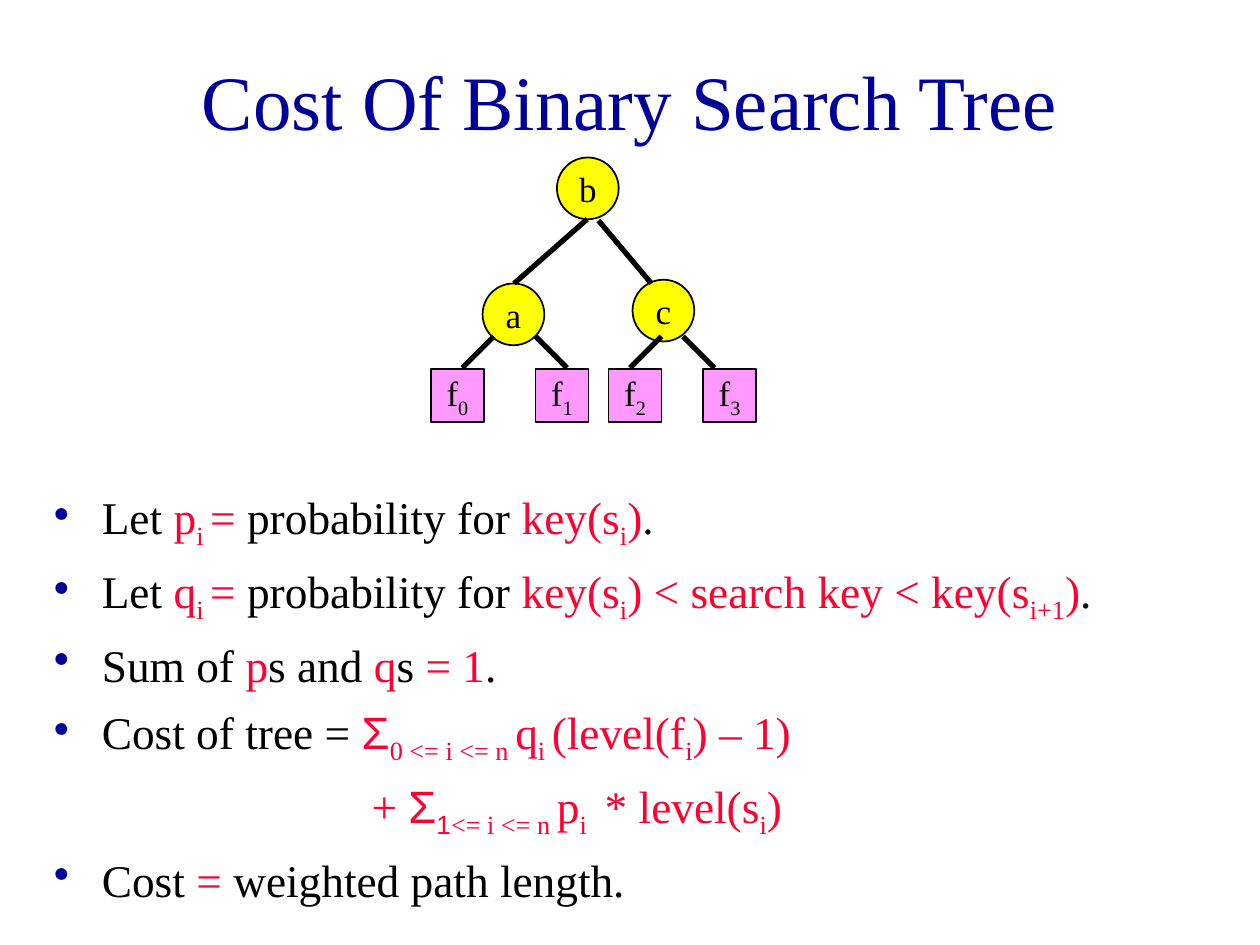
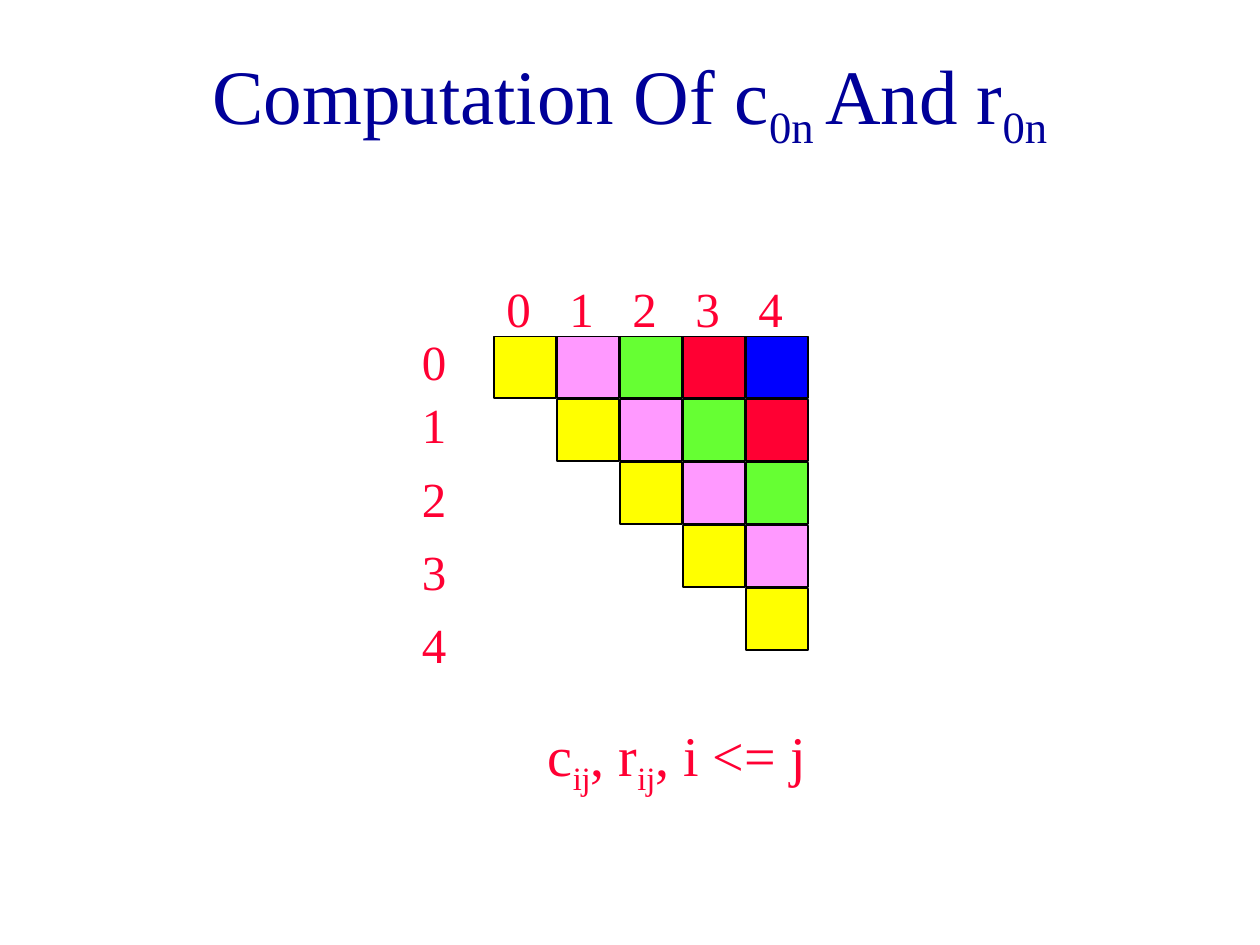
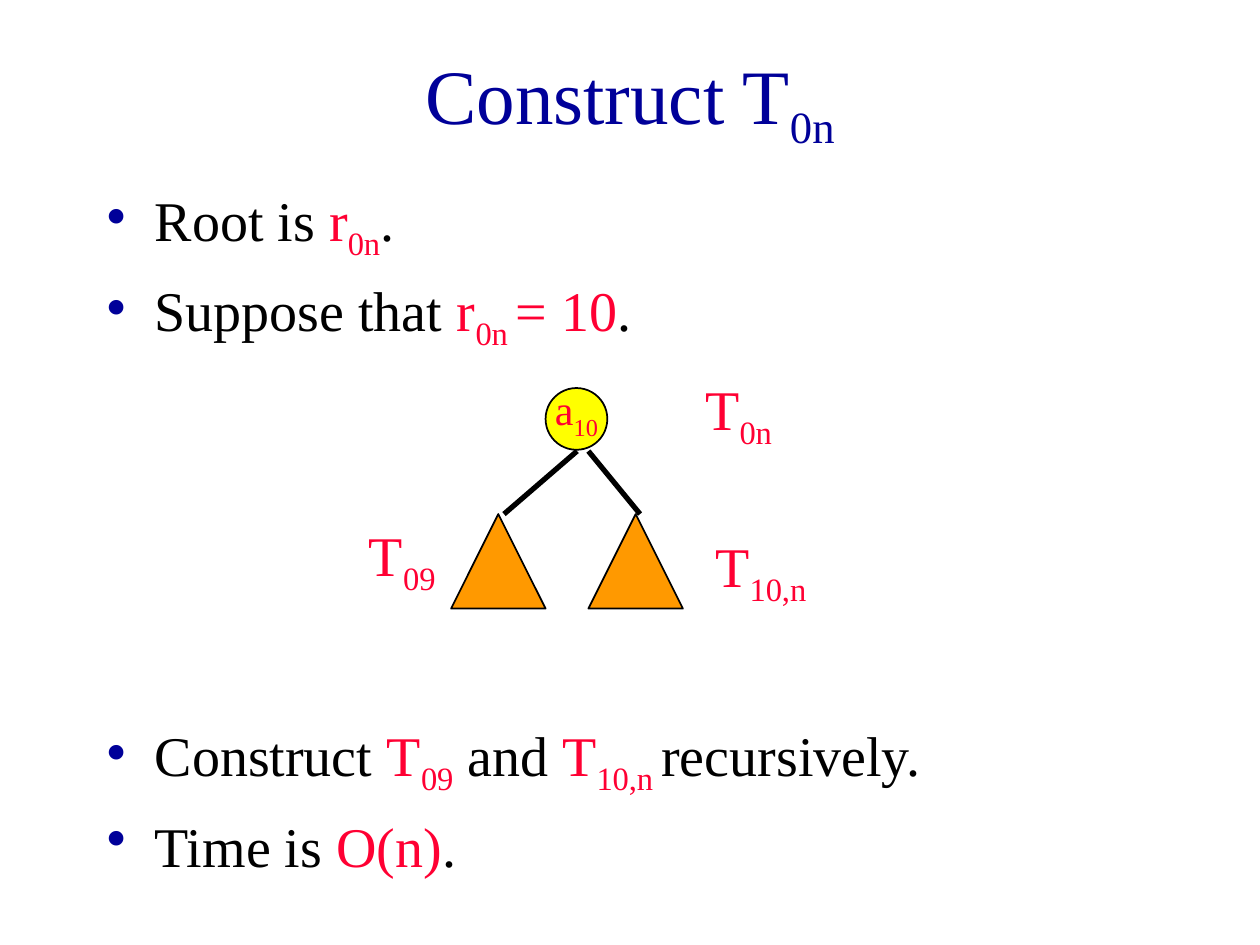
from dataclasses import dataclass

from lxml import etree
from pptx import Presentation
from pptx.dml.color import RGBColor
from pptx.enum.shapes import MSO_CONNECTOR, MSO_SHAPE
from pptx.enum.text import MSO_ANCHOR, PP_ALIGN
from pptx.oxml.ns import qn
from pptx.util import Inches, Pt


@dataclass(frozen=True)
class Theme:
    font: str = "Times New Roman"
    symbol_font: str = "Arial"
    navy: str = "000099"
    black: str = "000000"
    red: str = "FF0033"
    yellow: str = "FFFF00"
    pink: str = "FF99FF"
    green: str = "66FF33"
    blue: str = "0000FF"
    orange: str = "FF9900"
    title_size: float = 44
    body_size: float = 32
    dense_size: float = 25.9
    index_size: float = 28
    root_size: float = 24
    node_size: float = 20
    outline: float = 1
    edge: float = 3


THEME = Theme()

# Content. Markup: [red], {subscript}, |symbol font|
COST_TITLE = "Cost Of Binary Search Tree"
COST_LINES = [
    "Let [p{i }=] probability for [key(s{i})].",
    "Let [q{i }=] probability for [key(s{i}) < search key < key(s{i+1})].",
    "Sum of [p]s and [q]s [= 1].",
    "Cost of tree = [|Σ|{0 <= i <= n }q{i }(level(f{i}) – 1)]",
    "[+ |Σ{1}|{<= i <= n }p{i } * level(s{i})]",
    "Cost [=] weighted path length.",
]
COST_CONTINUATION = 4  # line that carries on the formula above it
KEY_NODES = [("b", 4.42, 1.25), ("a", 3.83, 2.25), ("c", 5.02, 2.22)]
FAILURE_NODES = [("f{0}", 3.42), ("f{1}", 4.25), ("f{2}", 4.83), ("f{3}", 5.58)]
COST_EDGES = [
    (4.66, 1.74, 4.08, 2.25), (4.75, 1.75, 5.17, 2.25),
    (3.92, 2.67, 3.67, 2.92), (4.25, 2.67, 4.5, 2.92),
    (5.25, 2.67, 5, 2.92), (5.42, 2.67, 5.67, 2.92),
]

COMPUTE_TITLE = "Computation Of c{0n }And r{0n}"
COMPUTE_LEGEND = "[c{ij}, r{ij}, i <= j]"
DIAGONAL_COLORS = [THEME.yellow, THEME.pink, THEME.green, THEME.red, THEME.blue]
ROW_LABEL_TOPS = [2.58, 3.08, 3.67, 4.25, 4.83]

CONSTRUCT_TITLE = "Construct T{0n}"
ROOT_LINES = ["Root is [r{0n}].", "Suppose that [r{0n }= 10]."]
RECURSION_LINES = ["Construct [T{09}] and [T{10,n }]recursively.", "Time is [O(n)]."]
CONSTRUCT_EDGES = [(4.58, 3.58, 4, 4.08), (4.67, 3.58, 5.08, 4.08)]
SUBTREE_LEFTS = [3.58, 4.67]
TREE_LABELS = [
    ("[T{0n}]", 5.5, 2.92), ("[T{09}]", 2.83, 4.08), ("[T{10,n}]", 5.58, 4.17),
]

# Shared measures, in inches
NODE = 0.49
LEAF = 0.42
GRID_LEFT, GRID_TOP, GRID_STEP = 3.92, 2.67, 0.5
HANG = 0.38
FORMULA_INDENT = 2.52


def color(value):
    return RGBColor.from_string(value)


# Text
def split_markup(text):
    """Yield (words, red, subscript, symbol) for each stretch of marked text."""
    switches = {"[": ("red", True), "]": ("red", False),
                "{": ("sub", True), "}": ("sub", False)}
    state = {"red": False, "sub": False, "symbol": False}
    words = ""
    for letter in text:
        if letter != "|" and letter not in switches:
            words += letter
            continue
        if words:
            yield words, *state.values()
            words = ""
        key, value = switches.get(letter, ("symbol", not state["symbol"]))
        state[key] = value
    if words:
        yield words, *state.values()


def write(para, text, size, ink=THEME.black):
    para.font.name = THEME.font
    para.font.size = Pt(size)
    para.font.color.rgb = color(ink)
    for words, red, sub, symbol in split_markup(text):
        span = para.add_run()
        span.text = words
        if red:
            span.font.color.rgb = color(THEME.red)
        if symbol:
            span.font.name = THEME.symbol_font
        if sub:
            span._r.get_or_add_rPr().set("baseline", "-25000")


def add_bullet(para):
    properties = para._p.get_or_add_pPr()
    bullet_color = etree.SubElement(properties, qn("a:buClr"))
    etree.SubElement(bullet_color, qn("a:srgbClr"), val=THEME.navy)
    etree.SubElement(properties, qn("a:buChar"), char="•")


def indent(para, left, first):
    properties = para._p.get_or_add_pPr()
    properties.set("marL", str(Inches(left)))
    properties.set("indent", str(Inches(first)))


def add_text_box(page, left, top, width, height):
    box = page.shapes.add_textbox(
        Inches(left), Inches(top), Inches(width), Inches(height))
    box.text_frame.word_wrap = True
    return box.text_frame


def add_label(page, text, left, top, width, height, size):
    frame = add_text_box(page, left, top, width, height)
    write(frame.paragraphs[0], text, size)


def add_list(page, lines, place, size, gap, continuation=None):
    frame = add_text_box(page, *place)
    for number, line in enumerate(lines):
        para = frame.add_paragraph() if number else frame.paragraphs[0]
        if number == continuation:
            indent(para, FORMULA_INDENT, 0)
        else:
            indent(para, HANG, -HANG)
            add_bullet(para)
        if number:
            para.space_before = Pt(gap)
        write(para, line, size)


# Shapes
def add_figure(page, kind, left, top, side, fill):
    figure = page.shapes.add_shape(
        kind, Inches(left), Inches(top), Inches(side), Inches(side))
    figure.shadow.inherit = False
    figure.fill.solid()
    figure.fill.fore_color.rgb = color(fill)
    figure.line.color.rgb = color(THEME.black)
    figure.line.width = Pt(THEME.outline)
    return figure


def label_figure(figure, text, size, lift=0):
    frame = figure.text_frame
    frame.word_wrap = False
    frame.margin_left = frame.margin_right = frame.margin_top = 0
    frame.margin_bottom = Inches(lift)
    frame.vertical_anchor = MSO_ANCHOR.MIDDLE
    para = frame.paragraphs[0]
    para.alignment = PP_ALIGN.CENTER
    write(para, text, size)


def add_edges(page, edges):
    for ends in edges:
        edge = page.shapes.add_connector(
            MSO_CONNECTOR.STRAIGHT, *(Inches(end) for end in ends))
        edge.line.color.rgb = color(THEME.black)
        edge.line.width = Pt(THEME.edge)
        etree.SubElement(edge._element.spPr, qn("a:effectLst"))


# Slides
def add_page(deck, text):
    page = deck.slides.add_slide(deck.slide_layouts[5])
    title = page.shapes.title
    title.left, title.top = Inches(0.75), Inches(0.17)
    title.width, title.height = Inches(8.5), Inches(1.25)
    title.text_frame.vertical_anchor = MSO_ANCHOR.MIDDLE
    para = title.text_frame.paragraphs[0]
    para.alignment = PP_ALIGN.CENTER
    write(para, text, THEME.title_size, THEME.navy)
    return page


def build_cost(deck):
    page = add_page(deck, COST_TITLE)
    add_list(page, COST_LINES, (0.33, 3.83, 9.42, 3.42), THEME.dense_size, 7,
             COST_CONTINUATION)
    for text, left, top in KEY_NODES:
        node = add_figure(page, MSO_SHAPE.OVAL, left, top, NODE, THEME.yellow)
        label_figure(node, text, THEME.node_size)
    for text, left in FAILURE_NODES:
        leaf = add_figure(page, MSO_SHAPE.RECTANGLE, left, 2.93, LEAF, THEME.pink)
        label_figure(leaf, text, THEME.node_size)
    add_edges(page, COST_EDGES)


def build_computation(deck):
    page = add_page(deck, COMPUTE_TITLE)
    count = len(DIAGONAL_COLORS)
    for row in range(count):
        for column in range(row, count):
            add_figure(page, MSO_SHAPE.RECTANGLE, GRID_LEFT + column * GRID_STEP,
                       GRID_TOP + row * GRID_STEP, NODE,
                       DIAGONAL_COLORS[column - row])
    for index, row_top in enumerate(ROW_LABEL_TOPS):
        column_left = GRID_LEFT + index * GRID_STEP
        for left, top in [(column_left, 2.16), (3.25, row_top)]:
            add_label(page, f"[{index}]", left, top, 0.5, 0.57, THEME.index_size)
    add_label(page, COMPUTE_LEGEND, 4.25, 5.67, 2.5, 0.71, THEME.body_size)


def build_construction(deck):
    page = add_page(deck, CONSTRUCT_TITLE)
    for lines, top in [(ROOT_LINES, 1.42), (RECURSION_LINES, 5.67)]:
        add_list(page, lines, (0.75, top, 8.5, 1.5), THEME.body_size, 8)
    root = add_figure(page, MSO_SHAPE.OVAL, 4.33, 3.08, NODE, THEME.yellow)
    label_figure(root, "[a{10}]", THEME.root_size, lift=0.1)
    add_edges(page, CONSTRUCT_EDGES)
    for left in SUBTREE_LEFTS:
        add_figure(page, MSO_SHAPE.ISOSCELES_TRIANGLE, left, 4.08, 0.75, THEME.orange)
    for text, left, top in TREE_LABELS:
        add_label(page, text, left, top, 1.25, 0.71, THEME.body_size)


def main():
    deck = Presentation()
    deck.slide_width, deck.slide_height = Inches(10), Inches(7.5)
    build_cost(deck)
    build_computation(deck)
    build_construction(deck)
    deck.save("out.pptx")


if __name__ == "__main__":
    main()
